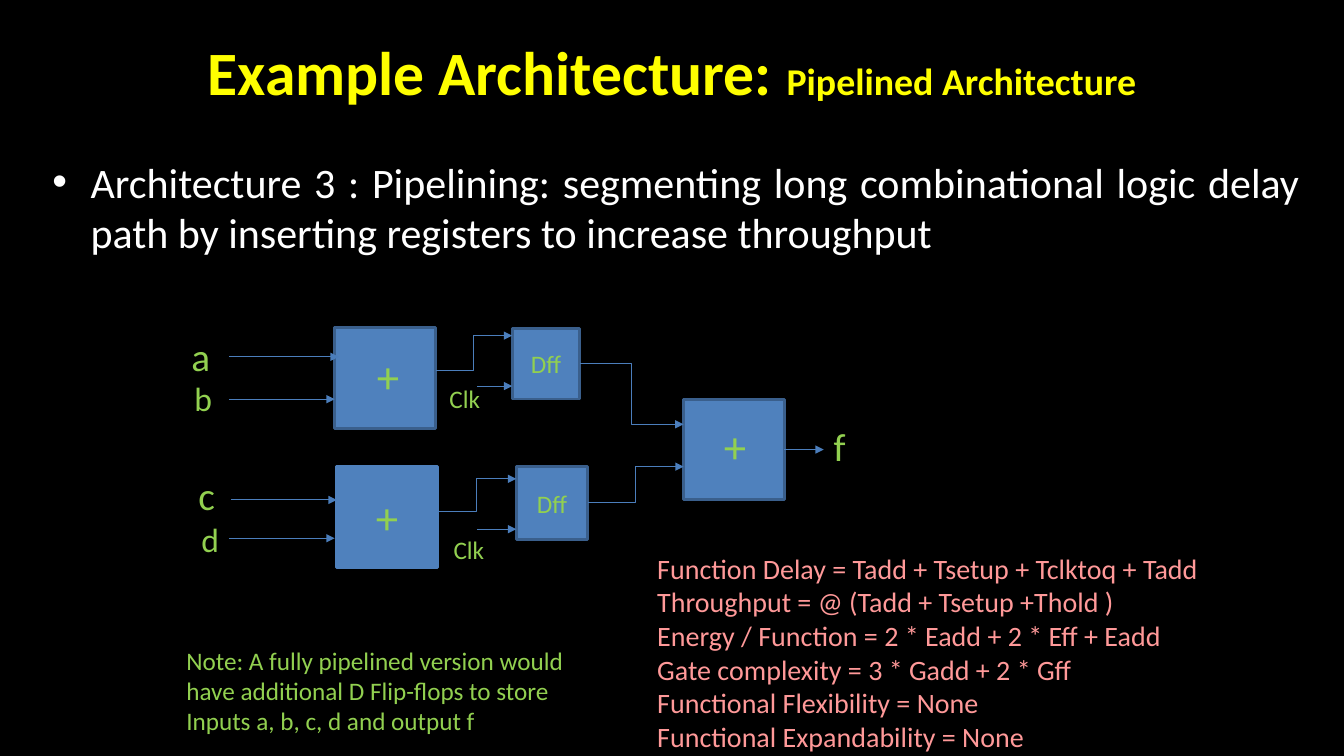
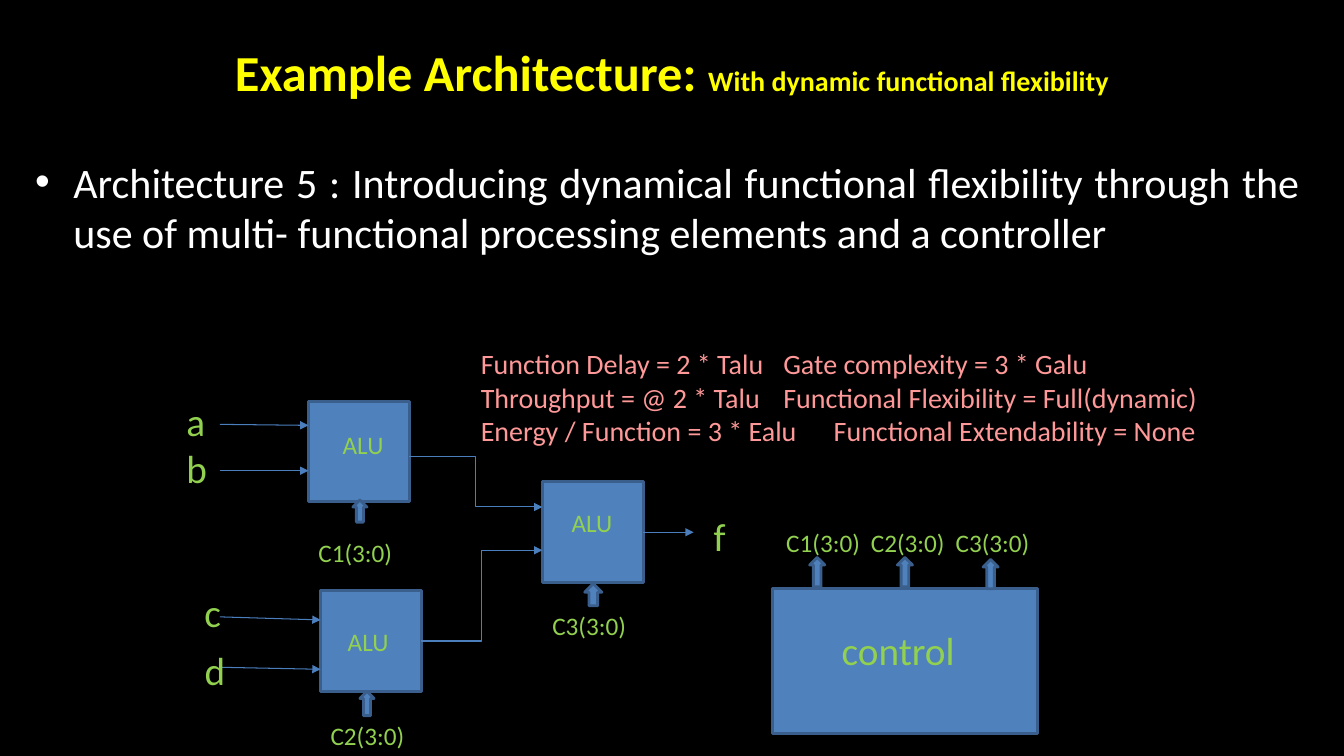
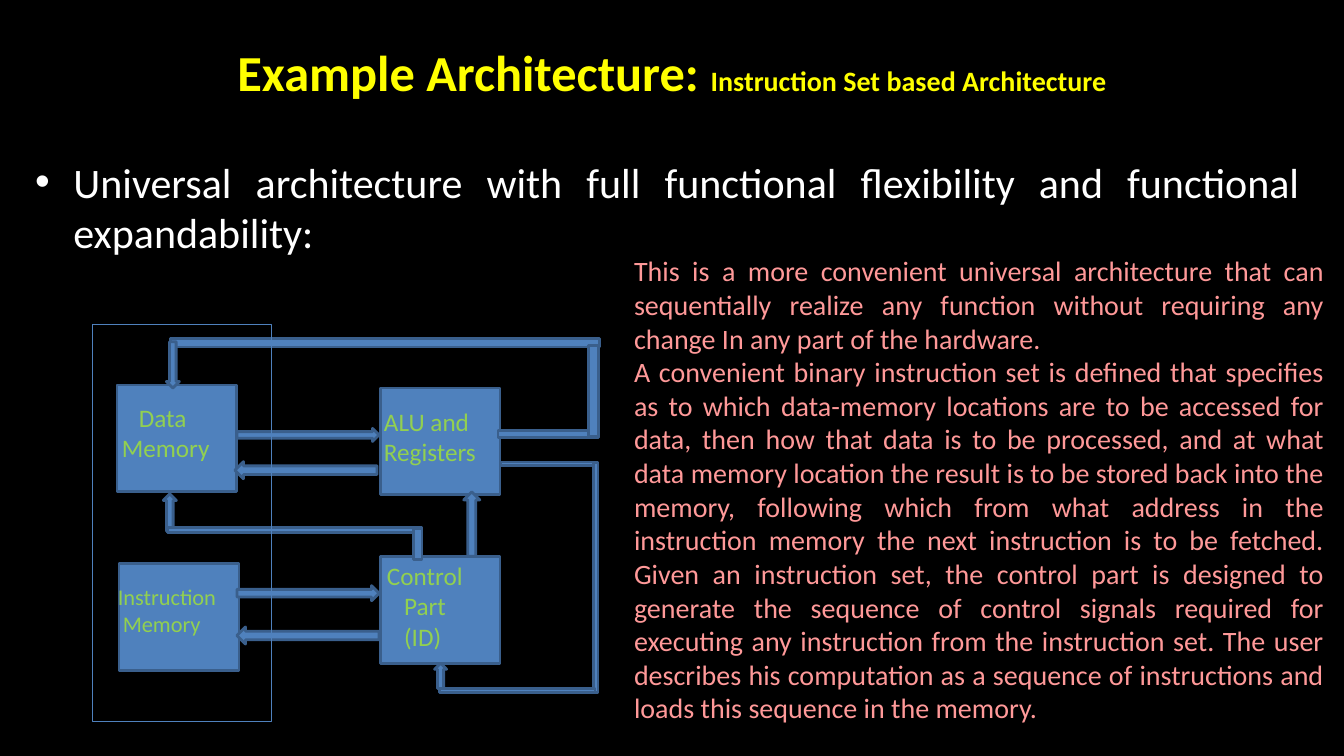
from dataclasses import dataclass
from itertools import zip_longest

from lxml.etree import SubElement
from pptx import Presentation
from pptx.dml.color import RGBColor
from pptx.enum.shapes import MSO_CONNECTOR, MSO_SHAPE
from pptx.enum.text import MSO_ANCHOR, MSO_AUTO_SIZE, PP_ALIGN
from pptx.oxml.ns import qn
from pptx.presentation import Presentation as Deck
from pptx.shapes.autoshape import Shape
from pptx.shapes.connector import Connector
from pptx.slide import Slide
from pptx.text.text import _Paragraph as Paragraph
from pptx.util import Emu, Pt

EMU_PER_PX = 9144  # 100 px to the inch
FONT = "Calibri"
COLORS = {
    "background": "000000",
    "title": "FFFF00",
    "body": "FFFFFF",
    "label": "92D050",
    "facts": "FF9999",
    "block": "4F81BD",
    "edge": "3A5F8C",
    "wire": "4B7EBC",
}
RECT = MSO_SHAPE.RECTANGLE
UP = MSO_SHAPE.UP_ARROW
DOWN = MSO_SHAPE.DOWN_ARROW
LEFT = MSO_SHAPE.LEFT_ARROW
RIGHT = MSO_SHAPE.RIGHT_ARROW
BAR = MSO_SHAPE.MATH_MINUS
RIGHT_SIDE = 3


@dataclass(frozen=True)
class Block:
    x: int
    y: int
    w: int
    h: int
    kind: MSO_SHAPE = RECT
    text: str = ""
    rotation: int = 0
    edge: str = "edge"


@dataclass(frozen=True)
class Wire:
    x1: int
    y1: int
    x2: int
    y2: int
    bent: bool = False


@dataclass(frozen=True)
class Label:
    """Text lines; rows is the line count after wrapping, if larger."""
    x: int
    y: int
    w: int
    lines: tuple[str, ...]
    size: int = 18
    color: str = "label"
    rows: int = 0
    indents: tuple[int, ...] = ()
    justified: bool = False


def px(length: int) -> Emu:
    return Emu(length * EMU_PER_PX)


def rgb(name: str) -> RGBColor:
    return RGBColor.from_string(COLORS[name])


def add_run(paragraph: Paragraph, text: str, size: int, color: str, bold: bool = False) -> None:
    run = paragraph.add_run()
    run.text = text
    run.font.name = FONT
    run.font.size = Pt(size)
    run.font.bold = bold
    run.font.color.rgb = rgb(color)


def add_title(slide: Slide, topic: str, size: int, topic_size: int) -> None:
    title = slide.shapes.title
    title.left, title.top, title.width, title.height = px(175), px(8), px(983), px(125)
    frame = title.text_frame
    frame.auto_size = MSO_AUTO_SIZE.NONE
    frame.vertical_anchor = MSO_ANCHOR.MIDDLE
    paragraph = frame.paragraphs[0]
    paragraph.alignment = PP_ALIGN.CENTER
    add_run(paragraph, "Example Architecture: ", size, "title", bold=True)
    add_run(paragraph, topic, topic_size, "title", bold=True)


def add_bullet(slide: Slide, text: str, left: int) -> None:
    frame = slide.shapes.add_textbox(px(left), px(150), px(1300 - left), px(120)).text_frame
    frame.word_wrap = True
    paragraph = frame.paragraphs[0]
    paragraph.alignment = PP_ALIGN.JUSTIFY
    properties = paragraph._p.get_or_add_pPr()
    properties.set("marL", str(px(38)))
    properties.set("indent", str(-px(38)))
    spacing = SubElement(properties, qn("a:spcBef"))
    SubElement(spacing, qn("a:spcPct")).set("val", "20000")
    SubElement(properties, qn("a:buFont")).set("typeface", "Arial")
    SubElement(properties, qn("a:buChar")).set("char", "•")
    add_run(paragraph, text, 30, "body")


def add_block(slide: Slide, block: Block) -> Shape:
    shape = slide.shapes.add_shape(block.kind, px(block.x), px(block.y), px(block.w), px(block.h))
    shape.shadow.inherit = False
    shape.rotation = block.rotation
    shape.fill.solid()
    shape.fill.fore_color.rgb = rgb("block")
    shape.line.color.rgb = rgb(block.edge)
    shape.line.width = Pt(2)
    if block.text:
        frame = shape.text_frame
        frame.vertical_anchor = MSO_ANCHOR.MIDDLE
        frame.paragraphs[0].alignment = PP_ALIGN.CENTER
        add_run(frame.paragraphs[0], block.text, 18, "label")
    return shape


def add_wire(slide: Slide, wire: Wire) -> Connector:
    kind = MSO_CONNECTOR.ELBOW if wire.bent else MSO_CONNECTOR.STRAIGHT
    connector = slide.shapes.add_connector(kind, px(wire.x1), px(wire.y1), px(wire.x2), px(wire.y2))
    connector.line.color.rgb = rgb("wire")
    connector.line.width = Pt(0.75)
    SubElement(connector.line._get_or_add_ln(), qn("a:tailEnd")).set("type", "triangle")
    SubElement(connector._element.spPr, qn("a:effectLst"))
    return connector


def add_label(slide: Slide, label: Label) -> None:
    rows = max(label.rows, len(label.lines))
    height = round(rows * label.size * 1.22 / 72 * 100) + 10
    frame = slide.shapes.add_textbox(px(label.x), px(label.y), px(label.w), px(height)).text_frame
    frame.word_wrap = True
    frame.auto_size = MSO_AUTO_SIZE.SHAPE_TO_FIT_TEXT
    for number, (line, indent) in enumerate(zip_longest(label.lines, label.indents, fillvalue=0)):
        paragraph = frame.add_paragraph() if number else frame.paragraphs[0]
        if label.justified:
            paragraph.alignment = PP_ALIGN.JUSTIFY
        if indent:
            paragraph._p.get_or_add_pPr().set("marL", str(px(indent)))
        add_run(paragraph, line, label.size, label.color)


def add_diagram(slide: Slide, blocks: list[Block], wires: list[Wire], labels: list[Label]) -> None:
    for block in blocks:
        add_block(slide, block)
    for wire in wires:
        add_wire(slide, wire)
    for label in labels:
        add_label(slide, label)


def add_output(slide: Slide, source: Block, end_x: int) -> None:
    """Draw the last block and the arrow leaving the middle of its right side."""
    middle = source.y + source.h // 2
    shape = add_block(slide, source)
    arrow = add_wire(slide, Wire(source.x + source.w, middle, end_x, middle))
    arrow.begin_connect(shape, RIGHT_SIDE)


def new_slide(deck: Deck) -> Slide:
    return deck.slides.add_slide(deck.slide_layouts.get_by_name("Title Only"))


def build_pipelined(deck: Deck) -> None:
    slide = new_slide(deck)
    add_title(slide, "Pipelined Architecture", 44, 27)
    add_bullet(slide, "Architecture 3 : Pipelining: segmenting long combinational logic delay "
                      "path by inserting registers to increase throughput", 42)
    add_output(slide, Block(678, 396, 100, 100), 817)
    blocks = [
        Block(332, 325, 100, 100),
        Block(334, 463, 100, 100, edge="block"),
        Block(508, 326, 67, 70, text="Dff"),
        Block(512, 463, 71, 72, text="Dff"),
    ]
    wires = [
        Wire(227, 354, 336, 354),
        Wire(227, 396, 332, 396),
        Wire(229, 496, 334, 496),
        Wire(227, 534, 332, 534),
        Wire(432, 368, 508, 333, bent=True),
        Wire(434, 507, 512, 475, bent=True),
        Wire(473, 383, 508, 383),
        Wire(473, 525, 512, 525),
        Wire(575, 361, 678, 421, bent=True),
        Wire(583, 499, 678, 463, bent=True),
    ]
    labels = [
        Label(364, 341, 35, ("+",), 32),
        Label(363, 481, 35, ("+",), 32),
        Label(708, 411, 35, ("+",), 32),
        Label(180, 325, 38, ("a",), 28),
        Label(183, 370, 38, ("b",), 24),
        Label(187, 463, 38, ("c",), 28),
        Label(190, 510, 39, ("d",), 24),
        Label(817, 414, 32, ("f",), 28),
        Label(436, 375, 57, ("Clk",)),
        Label(440, 525, 64, ("Clk",)),
        Label(175, 635, 433, (
            "Note: A fully pipelined version would have additional D Flip-flops to store",
            "Inputs a, b, c, d and output f",
        ), rows=3),
        Label(642, 542, 650, (
            "Function Delay = Tadd + Tsetup + Tclktoq + Tadd",
            "Throughput = @ (Tadd + Tsetup +Thold )",
            "Energy / Function = 2 * Eadd + 2 * Eff + Eadd",
            "Gate complexity = 3 * Gadd + 2 * Gff",
            "Functional Flexibility = None",
            "Functional Expandability = None",
        ), 20, "facts"),
    ]
    add_diagram(slide, blocks, wires, labels)


def build_flexible(deck: Deck) -> None:
    slide = new_slide(deck)
    add_title(slide, "With dynamic functional flexibility", 36, 20)
    add_bullet(slide, "Architecture 5 : Introducing dynamical functional flexibility through "
                      "the use of multi- functional processing elements and a controller", 25)
    add_output(slide, Block(538, 478, 100, 100), 688)
    blocks = [
        Block(306, 398, 100, 100),
        Block(318, 586, 100, 100),
        Block(350, 496, 14, 22, UP),
        Block(357, 686, 14, 24, UP),
        Block(580, 579, 17, 22, UP),
        Block(766, 584, 263, 144),
        Block(803, 553, 15, 29, UP),
        Block(890, 553, 15, 29, UP),
        Block(975, 555, 15, 29, UP),
    ]
    wires = [
        Wire(218, 421, 306, 422),
        Wire(218, 467, 306, 467),
        Wire(218, 612, 318, 615),
        Wire(218, 662, 318, 664),
        Wire(406, 453, 538, 503, bent=True),
        Wire(418, 636, 538, 546, bent=True),
    ]
    labels = [
        Label(557, 498, 65, ("ALU",)),
        Label(330, 421, 65, ("ALU",)),
        Label(335, 616, 65, ("ALU",)),
        Label(175, 389, 41, ("a", "b"), 28),
        Label(193, 579, 37, ("c",), 28),
        Label(193, 636, 39, ("d",), 28),
        Label(698, 503, 38, ("f",), 28),
        Label(306, 528, 111, ("C1(3:0)",)),
        Label(318, 710, 100, ("C2(3:0)",)),
        Label(538, 601, 100, ("C3(3:0)",)),
        Label(825, 616, 252, ("control",), 28),
        *(Label(770 + 84 * i, 518, 100, (f"C{i + 1}(3:0)",)) for i in range(3)),
        Label(467, 339, 835, (
            "Function Delay = 2 * Talu\tGate complexity = 3 * Galu",
            "Throughput = @ 2 * Talu\tFunctional Flexibility = Full(dynamic)",
            "Energy / Function = 3 * Ealu\tFunctional Extendability = None",
        ), 20, "facts"),
    ]
    add_diagram(slide, blocks, wires, labels)


def build_instruction_set(deck: Deck) -> None:
    slide = new_slide(deck)
    add_title(slide, "Instruction Set based Architecture", 36, 20)
    add_bullet(slide, "Universal architecture with full functional flexibility and functional "
                      "expandability:", 25)
    blocks = [
        Block(116, 382, 119, 106),
        Block(377, 385, 119, 106),
        Block(118, 559, 119, 106),
        Block(377, 552, 119, 106),
        Block(235, 425, 141, 13, RIGHT),
        Block(92, 322, 579, 36, BAR),
        Block(165, 339, 13, 46, DOWN),
        Block(476, 416, 136, 29, BAR),
        Block(582, 195, 13, 386, BAR),
        Block(235, 622, 141, 17, LEFT),
        Block(235, 581, 141, 15, RIGHT),
        Block(460, 488, 16, 64, UP),
        Block(162, 490, 13, 37, UP),
        Block(121, 515, 343, 21, BAR),
        Block(394, 523, 41, 34, BAR, rotation=90),
        Block(479, 453, 130, 14, BAR),
        Block(436, 564, 310, 18, BAR, rotation=270),
        Block(408, 676, 210, 18, BAR),
        Block(431, 658, 12, 25, UP),
        Block(233, 458, 141, 17, LEFT),
    ]
    labels = [
        Label(111, 394, 167, ("Data", "Memory"), indents=(17, 0)),
        Label(371, 398, 141, ("ALU and Registers",), rows=2),
        Label(102, 574, 184, ("Instruction", "Memory"), 16, indents=(5, 10)),
        Label(363, 551, 162, ("Control", "Part", "(ID)"), indents=(11, 28, 28)),
        Label(619, 247, 704, (
            "This is a more convenient universal architecture that can sequentially realize any "
            "function without requiring any change In any part of the hardware.",
            "A convenient binary instruction set is defined that specifies as to which data-memory "
            "locations are to be accessed for data, then how that data is to be processed, and at "
            "what data memory location the result is to be stored back into the memory, following "
            "which from what address in the instruction memory the next instruction is to be "
            "fetched. Given an instruction set, the control part is designed to generate the "
            "sequence of control signals required for executing any instruction from the "
            "instruction set. The user describes his computation as a sequence of instructions "
            "and loads this sequence in the memory.",
        ), 20, "facts", rows=14, justified=True),
    ]
    add_diagram(slide, blocks, [], labels)
    memory_group = add_block(slide, Block(92, 322, 177, 394, edge="block"))
    memory_group.fill.background()
    memory_group.line.width = Pt(0.75)


def main() -> None:
    deck = Presentation()
    deck.slide_width, deck.slide_height = px(1333), px(750)
    backdrop = deck.slide_master.background.fill
    backdrop.solid()
    backdrop.fore_color.rgb = rgb("background")
    build_pipelined(deck)
    build_flexible(deck)
    build_instruction_set(deck)
    deck.save("out.pptx")


if __name__ == "__main__":
    main()
